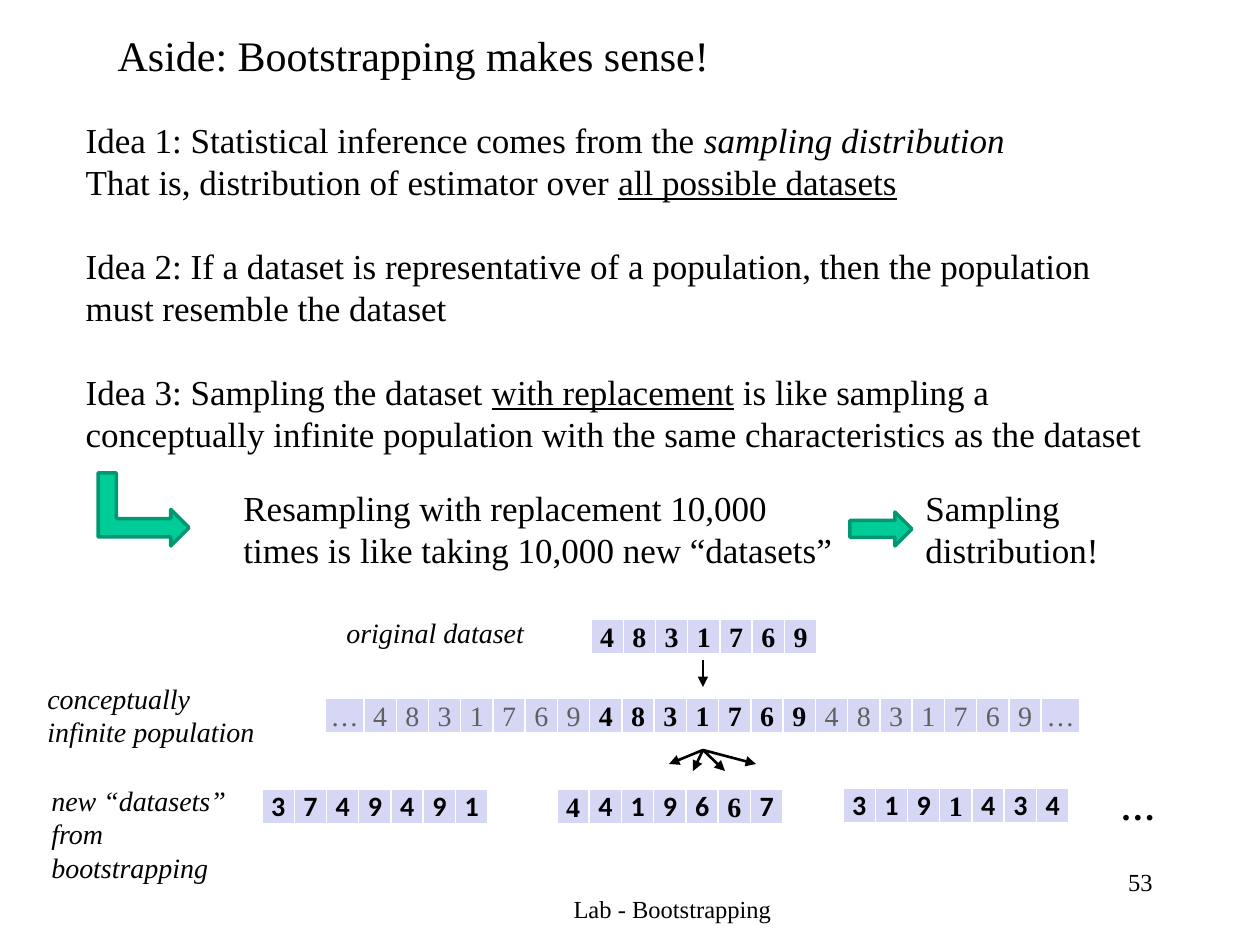
"""Build the slide explaining why bootstrapping makes sense."""
import pptx
import pptx.dml.color
import pptx.enum.shapes
import pptx.enum.text
import pptx.oxml
import pptx.oxml.ns
import pptx.util

SCALE = 914400 / 126
COLORS = {
    "text": "000000",
    "muted": "606060",
    "cell": "D6D6F5",
    "border": "FFFFFF",
    "arrow": "00CC99",
    "arrow_line": "009771",
}
SERIF = "Times New Roman"
NAMESPACE = pptx.oxml.ns.nsdecls("a")
ALIGN = pptx.enum.text.PP_ALIGN
SHAPE = pptx.enum.shapes.MSO_SHAPE


def emu(*lengths):
    return [round(length * SCALE) for length in lengths]


def write(paragraph, runs, size, align=ALIGN.LEFT, color="text", space_before=0, **formats):
    paragraph_formats = {
        "alignment": align,
        "line_spacing": pptx.util.Pt(size * 1.2),
        "space_before": pptx.util.Pt(space_before),
        "space_after": pptx.util.Pt(0),
    }
    for name, value in paragraph_formats.items():
        setattr(paragraph, name, value)
    for text, run_formats in runs:
        run = paragraph.add_run()
        run.text = text
        run.font.color.rgb = pptx.dml.color.RGBColor.from_string(COLORS[color])
        font_formats = {"name": SERIF, "size": pptx.util.Pt(size), **formats, **run_formats}
        for name, value in font_formats.items():
            setattr(run.font, name, value)


presentation = pptx.Presentation()
presentation.slide_width, presentation.slide_height = emu(1260, 945)
slide = presentation.slides.add_slide(presentation.slide_layouts[1])
title, body = slide.placeholders

placeholder_boxes = [(title, (105, 23, 1061, 63)), (body, (73, 112, 1092, 479))]
for placeholder, box in placeholder_boxes:
    placeholder.left, placeholder.top, placeholder.width, placeholder.height = emu(*box)
    placeholder.text_frame.auto_size = pptx.enum.text.MSO_AUTO_SIZE.NONE
    placeholder.text_frame.vertical_anchor = pptx.enum.text.MSO_ANCHOR.TOP

write(title.text_frame.paragraphs[0], [("Aside: Bootstrapping makes sense!", {})], 24)

ideas = [
    (0, [("Idea 1: Statistical inference comes from the ", {}),
         ("sampling distribution", {"italic": True})]),
    (0, [("That is, distribution of estimator over ", {}),
         ("all possible datasets", {"underline": True})]),
    (24, [("Idea 2: If a dataset is representative of a population, "
           "then the population must resemble the dataset", {})]),
    (24, [("Idea 3: Sampling the dataset ", {}),
          ("with replacement", {"underline": True}),
          (" is like sampling a conceptually infinite population "
           "with the same characteristics as the dataset", {})]),
]
for index, (space_before, runs) in enumerate(ideas):
    frame = body.text_frame
    paragraph = frame.add_paragraph() if index else frame.paragraphs[0]
    properties = paragraph._p.get_or_add_pPr()
    properties.set("marL", "0")
    properties.set("indent", "0")
    properties.append(pptx.oxml.parse_xml(f"<a:buNone {NAMESPACE}/>"))
    write(paragraph, runs, 20, space_before=space_before)

text_boxes = [
    ("Lab - Bootstrapping", (473, 888, 399, 42), 14, {"align": ALIGN.CENTER}),
    ("53", (903, 861, 262, 63), 14, {"align": ALIGN.RIGHT}),
    ("Resampling with replacement 10,000 times is like taking 10,000 new “datasets”",
     (231, 480, 620, 97), 20, {}),
    ("Sampling distribution!", (913, 480, 200, 97), 20, {}),
    ("…", (1108, 779, 58, 55), 20, {"bold": True}),
    ("original dataset", (334, 609, 205, 47), 16, {"italic": True}),
    ("conceptually infinite population", (35, 675, 237, 81), 16, {"italic": True}),
    ("new “datasets” from bootstrapping", (39, 777, 223, 115), 16, {"italic": True}),
]
for text, box, size, formats in text_boxes:
    text_box = slide.shapes.add_textbox(*emu(*box))
    text_box.text_frame.word_wrap = True
    write(text_box.text_frame.paragraphs[0], [(text, {})], size, **formats)

block_arrows = [
    (SHAPE.BENT_UP_ARROW, (107, 464, 73, 91), 90),
    (SHAPE.RIGHT_ARROW, (850, 512, 62, 34), 0),
]
for kind, box, rotation in block_arrows:
    arrow = slide.shapes.add_shape(kind, *emu(*box))
    arrow.rotation = rotation
    arrow.shadow.inherit = False
    arrow.fill.solid()
    arrow.fill.fore_color.rgb = pptx.dml.color.RGBColor.from_string(COLORS["arrow"])
    arrow.line.color.rgb = pptx.dml.color.RGBColor.from_string(COLORS["arrow_line"])
    arrow.line.width = pptx.util.Pt(2)

DIGIT_WIDTH = 226 / 7
ELLIPSIS_WIDTH = 39
ROW_HEIGHT = 35
DATASET = "4831769"
number_rows = [
    ("…" + DATASET * 3 + "…", 325, 698, range(8, 15), ()),
    (DATASET, 591, 619, range(7), ()),
    ("4419667", 557, 789, range(7), (1, 2, 3, 4, 6)),
    ("3191434", 843, 788, range(7), (0, 1, 2, 4, 5, 6)),
    ("3749491", 262, 789, range(7), range(7)),
]
for values, left, top, bold_cells, calibri_cells in number_rows:
    widths = [ELLIPSIS_WIDTH if value == "…" else DIGIT_WIDTH for value in values]
    box = emu(left, top, sum(widths), ROW_HEIGHT)
    table = slide.shapes.add_table(1, len(values), *box).table
    for index, (value, width) in enumerate(zip(values, widths)):
        table.columns[index].width = emu(width)[0]
        cell = table.cell(0, index)
        cell.margin_left, cell.margin_right, cell.margin_top, cell.margin_bottom = emu(1, 1, 1, 0)
        cell.vertical_anchor = pptx.enum.text.MSO_ANCHOR.BOTTOM
        properties = cell._tc.get_or_add_tcPr()
        for side in ("lnL", "lnR", "lnT", "lnB"):
            properties.append(pptx.oxml.parse_xml(
                f'<a:{side} {NAMESPACE} w="12700"><a:solidFill>'
                f'<a:srgbClr val="{COLORS["border"]}"/></a:solidFill></a:{side}>'))
        cell.fill.solid()
        cell.fill.fore_color.rgb = pptx.dml.color.RGBColor.from_string(COLORS["cell"])
        bold = index in bold_cells
        write(cell.text_frame.paragraphs[0], [(value, {})], 16, ALIGN.CENTER,
              "text" if bold else "muted", bold=bold,
              name="Calibri" if index in calibri_cells else SERIF)

thin_arrows = [
    (703, 660, 703, 687),
    (703, 750, 756, 764),
    (703, 750, 725, 771),
    (703, 750, 693, 771),
    (703, 750, 669, 764),
]
for ends in thin_arrows:
    connector = slide.shapes.add_connector(
        pptx.enum.shapes.MSO_CONNECTOR.STRAIGHT, *emu(*ends))
    connector.line.color.rgb = pptx.dml.color.RGBColor.from_string(COLORS["text"])
    connector.line.width = pptx.util.Pt(1.5)
    connector.line._get_or_add_ln().append(
        pptx.oxml.parse_xml(f'<a:tailEnd {NAMESPACE} type="triangle"/>'))
    connector._element.spPr.append(pptx.oxml.parse_xml(f"<a:effectLst {NAMESPACE}/>"))

presentation.save("out.pptx")
